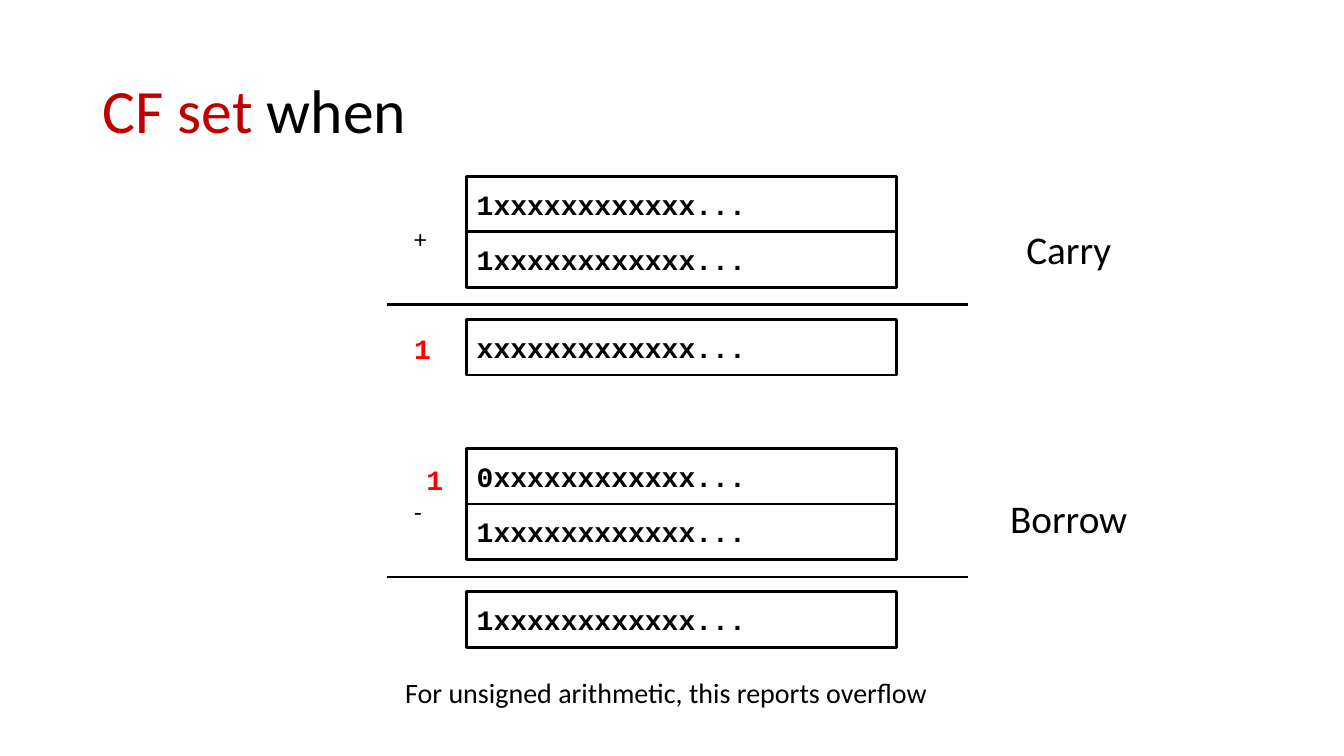
from pptx import Presentation
from pptx.dml.color import RGBColor
from pptx.enum.shapes import MSO_CONNECTOR, MSO_SHAPE
from pptx.enum.text import MSO_ANCHOR, PP_ALIGN
from pptx.oxml.ns import qn
from pptx.util import Inches, Pt
from lxml import etree

RECT = MSO_SHAPE.RECTANGLE
LINE = MSO_CONNECTOR.STRAIGHT
MID, TOP = MSO_ANCHOR.MIDDLE, MSO_ANCHOR.TOP
LEFT, CENTER = PP_ALIGN.LEFT, PP_ALIGN.CENTER

TITLE = [("CF set ", "key"), ("when", "title")]
NOTE = "For unsigned arithmetic, this reports overflow"
SUMS = [
    {"top": 1.75, "sign": "+", "name": "Carry", "name_y": 2.19,
     "rows": ["1xxxxxxxxxxxx...", "1xxxxxxxxxxxx...", "xxxxxxxxxxxxx..."],
     "flag": (4.01, 3.24)},
    {"top": 4.45, "sign": "-", "name": "Borrow", "name_y": 4.85,
     "rows": ["0xxxxxxxxxxxx...", "1xxxxxxxxxxxx...", "1xxxxxxxxxxxx..."],
     "flag": (4.13, 4.54)},
]

INK = RGBColor(0, 0, 0)
THEME = {
    "title": {"name": "Calibri", "size": Pt(44), "color": INK},
    "key": {"name": "Calibri", "size": Pt(44), "color": RGBColor(0xC0, 0, 0)},
    "bits": {"name": "Courier New", "size": Pt(20), "bold": True, "color": INK},
    "flag": {"name": "Courier New", "size": Pt(20), "bold": True,
             "color": RGBColor(0xFF, 0, 0)},
    "sign": {"name": "Calibri", "size": Pt(18), "color": INK},
    "name": {"name": "Calibri", "size": Pt(28), "color": INK},
    "note": {"name": "Calibri", "size": Pt(20), "color": INK},
    "line": Pt(2),
}

BOX_X, BOX_W, BOX_H = 4.63, 4.26, 0.55
ROW_Y = [0, BOX_H, 1.42]
RULE_X, RULE_END, RULE_Y = 3.84, 9.6, 1.275
SIGN_X, SIGN_Y = 4.01, 0.42


def write(shape, runs, anchor=TOP, align=LEFT, wrap=True):
    frame = shape.text_frame
    frame.word_wrap = wrap
    frame.vertical_anchor = anchor
    para = frame.paragraphs[0]
    para.alignment = align
    for text, style in runs:
        run = para.add_run()
        run.text = text
        for key, val in THEME[style].items():
            if key == "color":
                run.font.color.rgb = val
            else:
                setattr(run.font, key, val)
    return para


def label(slide, box, runs, **form):
    return write(slide.shapes.add_textbox(*map(Inches, box)), runs, **form)


def stroke(shape):
    shape.line.color.rgb = INK
    shape.line.width = THEME["line"]


def draw_sum(slide, item):
    top = item["top"]
    for text, gap in zip(item["rows"], ROW_Y):
        box = map(Inches, (BOX_X, top + gap, BOX_W, BOX_H))
        shape = slide.shapes.add_shape(RECT, *box)
        shape.shadow.inherit = False
        shape.fill.background()
        stroke(shape)
        write(shape, [(text, "bits")], anchor=MID)
    y = top + RULE_Y
    rule = slide.shapes.add_connector(LINE, *map(Inches, (RULE_X, y, RULE_END, y)))
    stroke(rule)
    etree.SubElement(rule._element.spPr, qn("a:effectLst"))
    label(slide, (SIGN_X, top + SIGN_Y, 0.5, 0.4), [(item["sign"], "sign")])
    label(slide, (*item["flag"], 0.5, 0.44), [("1", "flag")])
    label(slide, (9.9, item["name_y"], 1.4, 0.57), [(item["name"], "name")],
          align=CENTER, wrap=False)


def main():
    deck = Presentation()
    deck.slide_width, deck.slide_height = Inches(13.33), Inches(7.5)
    slide = deck.slides.add_slide(deck.slide_layouts[6])
    head = label(slide, (0.92, 0.4, 11.5, 1.45), TITLE, anchor=MID)
    head.line_spacing = 0.9
    for item in SUMS:
        draw_sum(slide, item)
    label(slide, (3.92, 6.65, 5.43, 0.44), [(NOTE, "note")], wrap=False)
    deck.save("out.pptx")


if __name__ == "__main__":
    main()
